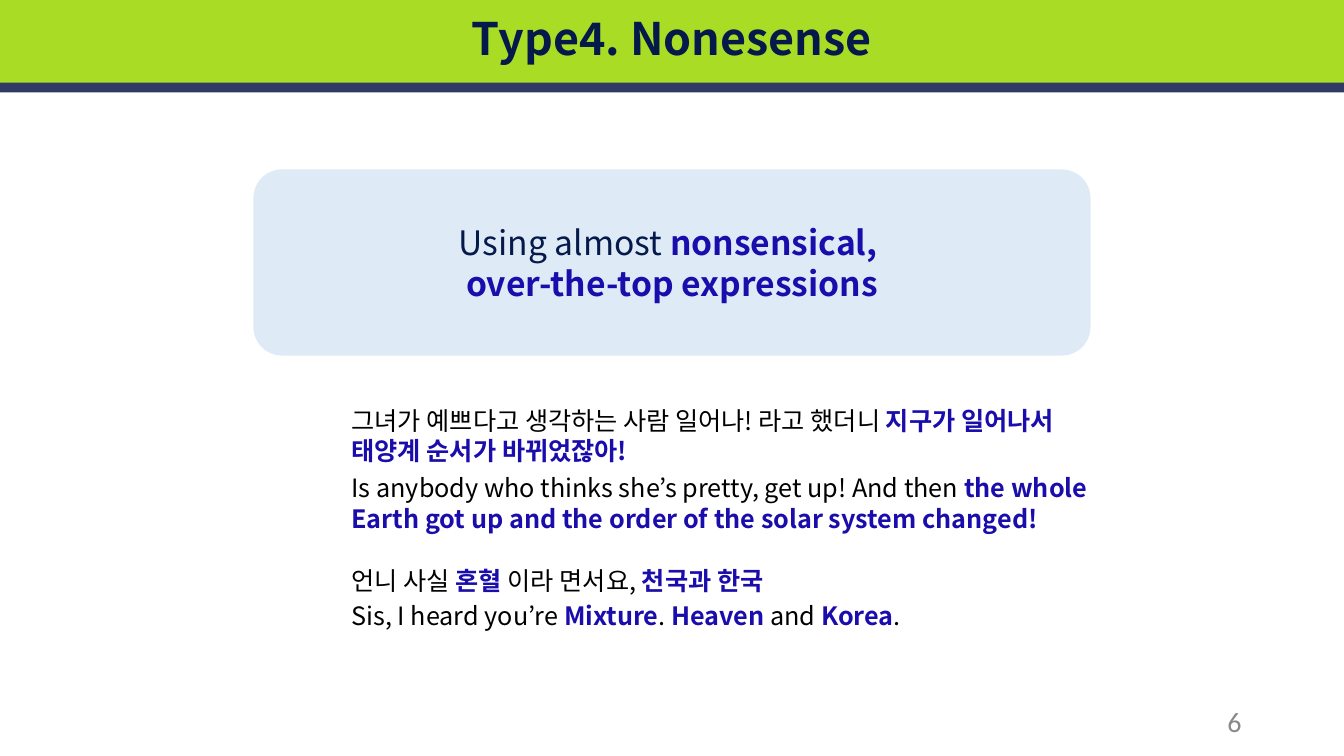
from dataclasses import dataclass

from lxml.etree import SubElement
from pptx import Presentation
from pptx.dml.color import RGBColor
from pptx.enum.shapes import MSO_SHAPE
from pptx.enum.text import MSO_ANCHOR, MSO_AUTO_SIZE, PP_ALIGN
from pptx.oxml.ns import qn
from pptx.util import Pt


@dataclass(frozen=True)
class Theme:
    font: str = "Noto Sans CJK KR"
    number_font: str = "Calibri"
    lime: str = "A9DC25"
    navy: str = "303A65"
    ink: str = "05194A"
    card: str = "DEEBF7"
    white: str = "FFFFFF"
    black: str = "000000"
    accent: str = "1A0DAB"
    grey: str = "898989"
    title_size: int = 32
    card_size: int = 24
    body_size: int = 18
    number_size: int = 20


class SlideBuilder:
    def __init__(self, page, theme):
        self.page = page
        self.theme = theme

    def block(self, kind, left, top, width, height, fill):
        box = self.page.shapes.add_shape(kind, Pt(left), Pt(top), Pt(width), Pt(height))
        box.shadow.inherit = False
        box.fill.solid()
        box.fill.fore_color.rgb = RGBColor.from_string(fill)
        box.line.fill.background()
        return box

    def fill_text(self, box, paragraphs, size, color, align=PP_ALIGN.LEFT,
                  anchor=MSO_ANCHOR.TOP, font=None):
        """Each paragraph is a list of (text, emphasised) pairs."""
        frame = box.text_frame
        frame.word_wrap = True
        frame.auto_size = MSO_AUTO_SIZE.NONE
        frame.vertical_anchor = anchor
        for index, parts in enumerate(paragraphs):
            para = frame.add_paragraph() if index else frame.paragraphs[0]
            para.alignment = align
            para.line_spacing = Pt(size * 1.2)
            for text, emphasised in parts:
                span = para.add_run()
                span.text = text
                span.font.name = font or self.theme.font
                span.font.size = Pt(size)
                span.font.bold = emphasised
                span.font.color.rgb = RGBColor.from_string(
                    self.theme.accent if emphasised else color)
                east_asian = SubElement(span.font._element, qn("a:ea"))
                east_asian.set("typeface", font or self.theme.font)

    def text(self, left, top, width, height, paragraphs, size, color, **style):
        box = self.page.shapes.add_textbox(Pt(left), Pt(top), Pt(width), Pt(height))
        self.fill_text(box, paragraphs, size, color, **style)

    def title(self, left, top, width, height, text):
        box = self.page.shapes.title
        box.left, box.top, box.width, box.height = Pt(left), Pt(top), Pt(width), Pt(height)
        self.fill_text(box, [[(text, False)]], self.theme.title_size, self.theme.ink,
                       align=PP_ALIGN.CENTER)
        box.text_frame.paragraphs[0].runs[0].font.bold = True
        # Bring the title in front of the banner
        self.page.shapes._spTree.append(box._element)


def main():
    theme = Theme()
    deck = Presentation()
    deck.slide_width, deck.slide_height = Pt(960), Pt(540)
    page = deck.slides.add_slide(deck.slide_layouts[5])
    builder = SlideBuilder(page, theme)

    # Banner and title
    builder.block(MSO_SHAPE.RECTANGLE, 0, 0, 960, 61, theme.lime)
    builder.block(MSO_SHAPE.RECTANGLE, 0, 59, 960, 7, theme.navy)
    builder.title(0, 4.3, 960, 46, "Type4. Nonesense")

    # Page number
    builder.text(678, 500.5, 216, 28.75, [[("6", False)]], theme.number_size, theme.grey,
                 align=PP_ALIGN.RIGHT, anchor=MSO_ANCHOR.MIDDLE, font=theme.number_font)

    # Korean examples with their translations: top, width, height, runs
    examples = [
        (286, 554, 51, [("그녀가 예쁘다고 생각하는 사람 일어나! 라고 했더니 ", False),
                        ("지구가 일어나서 태양계 순서가 바뀌었잖아!", True)]),
        (334, 578, 51, [("Is anybody who thinks she’s pretty, get up! And then ", False),
                        ("the whole Earth got up and the order of the solar system changed!",
                         True)]),
        (400, 362, 29, [("언니 사실 ", False), ("혼혈 ", True), ("이라 면서요, ", False),
                        ("천국과 한국", True)]),
        (425.5, 420, 29, [("Sis, I heard you’re ", False), ("Mixture", True), (". ", False),
                          ("Heaven", True), (" and ", False), ("Korea", True), (".", False)]),
    ]
    for top, width, height, parts in examples:
        builder.text(244, top, width, height, [parts], theme.body_size, theme.black)

    # Definition card
    card = builder.block(MSO_SHAPE.ROUNDED_RECTANGLE, 178, 118, 604, 139, theme.card)
    card.adjustments[0] = 0.167
    card.line.color.rgb = RGBColor.from_string(theme.white)
    card.line.width = Pt(6)
    builder.fill_text(card, [[("Using almost", False), (" nonsensical, ", True)],
                             [("over-the-top expressions", True)]],
                      theme.card_size, theme.ink, align=PP_ALIGN.CENTER,
                      anchor=MSO_ANCHOR.MIDDLE)

    deck.save("out.pptx")


if __name__ == "__main__":
    main()
